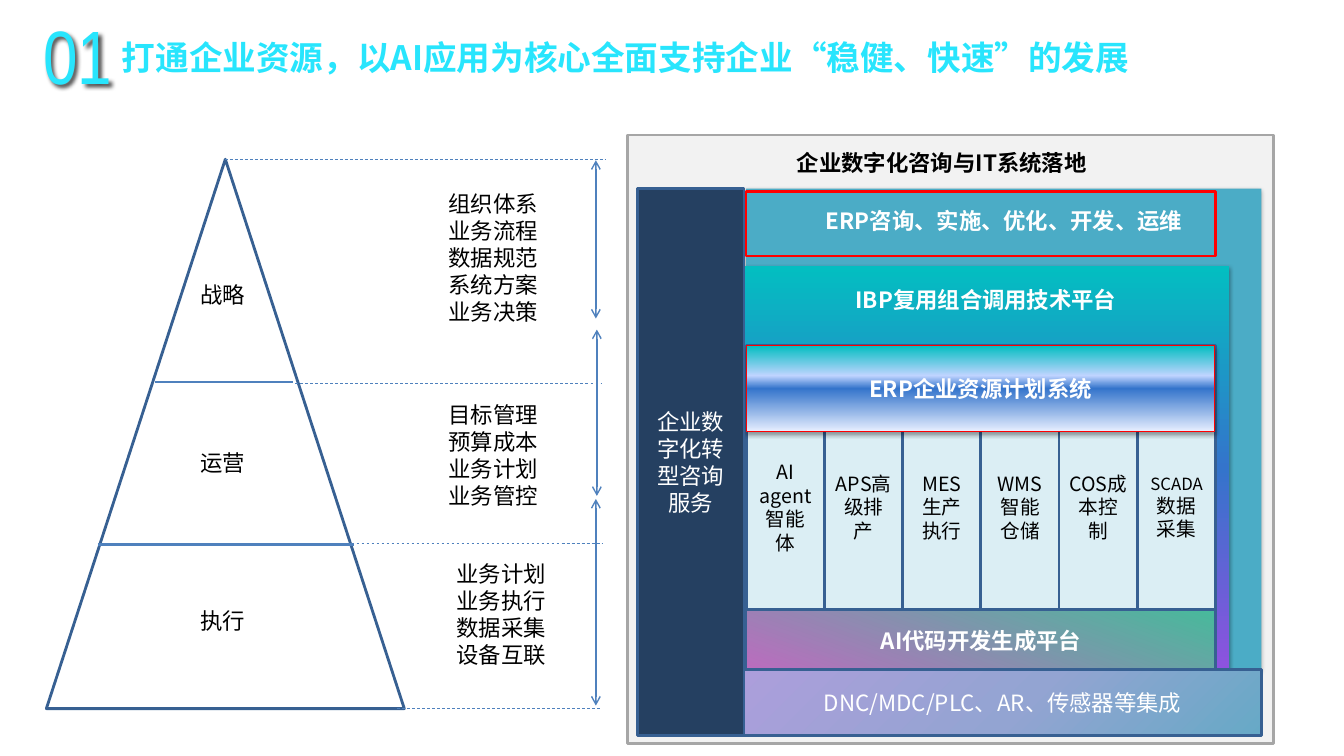
from lxml import etree
from pptx import Presentation
from pptx.dml.color import RGBColor
from pptx.enum.dml import MSO_LINE
from pptx.enum.shapes import MSO_CONNECTOR, MSO_SHAPE
from pptx.enum.text import MSO_ANCHOR, PP_ALIGN
from pptx.oxml.ns import qn
from pptx.util import Emu, Pt

RECTANGLE, TRIANGLE = MSO_SHAPE.RECTANGLE, MSO_SHAPE.ISOSCELES_TRIANGLE
STRAIGHT, DASH = MSO_CONNECTOR.STRAIGHT, MSO_LINE.DASH
LEFT, CENTER = PP_ALIGN.LEFT, PP_ALIGN.CENTER
TOP, MIDDLE = MSO_ANCHOR.TOP, MSO_ANCHOR.MIDDLE

# Content
NUMBER = "01"
TITLE = "打通企业资源，以AI应用为核心全面支持企业“稳健、快速”的发展"
PANEL_TITLE = "企业数字化咨询与IT系统落地"
SIDEBAR = "企业数字化转型咨询服务"
CONSULTING = "ERP咨询、实施、优化、开发、运维"
PLATFORM = "IBP复用组合调用技术平台"
PLANNING = "ERP企业资源计划系统"
CODE_PLATFORM = "AI代码开发生成平台"
INTEGRATION = "DNC/MDC/PLC、AR、传感器等集成"
SYSTEMS = [
    [("AI agent智能体", 14)],
    [("APS高级排产", 14)],
    [("MES生产执行", 14)],
    [("WMS智能仓储", 14)],
    [("COS成本控制", 14)],
    [("SCADA", 12), ("数据采集", 14)],
]
# Level name, its top, then the left, top and lines of its duties
LEVELS = [
    ("战略", 274, 435, 184, ["组织体系", "业务流程", "数据规范", "系统方案", "业务决策"]),
    ("运营", 441, 435, 393, ["目标管理", "预算成本", "业务计划", "业务管控"]),
    ("执行", 597, 443, 551, ["业务计划", "业务执行", "数据采集", "设备互联"]),
]
DIVIDERS = [(154, 291, 379), (97, 351, 540)]
GUIDES = [(223, 601, 158), (293, 596, 380), (394, 595, 703), (314, 598, 539)]
SPANS = [(591, 159, 316), (592, 327, 492), (591, 495, 700)]

# Style
FONT, NUMBER_FONT = "Noto Sans CJK SC", "Arial Narrow"
BLACK, WHITE, RED = "000000", "FFFFFF", "FF0000"
CYAN, BLUE, EDGE = "28E5FD", "4F81BD", "376092"
PLATFORM_FILL = ([(0, "03BEC1"), (50, "3474CB"), (100, "8E52DF")], 90)
PLANNING_FILL = ([(0, "03BEC1"), (35, "BFD4FF"), (50, "3474CB"), (100, "E6EEFF")], 90)
CODE_FILL = ([(0, "47BA9B"), (99, "BA6DBE")], 110)
INTEGRATION_FILL = ([(0, "AC9EDB"), (54, "93A4D2"), (100, "67A9C6")], 45)
SOFT_SHADOW = (3.1, 1.6, 90, 38)
NUMBER_SHADOW = (3, 3, 45, 70)


def px(length):
    return Emu(round(length * 9144))


def rgb(value):
    return RGBColor.from_string(value)


def add_node(parent, tag, **attributes):
    values = {name: str(value) for name, value in attributes.items()}
    return etree.SubElement(parent, qn(tag), values)


def write_text(shape, lines, size=16, color=BLACK, bold=False, align=LEFT,
               anchor=TOP, font=FONT):
    """Lines are strings, or pairs of a string and its own size."""
    frame = shape.text_frame
    frame.word_wrap = True
    frame.vertical_anchor = anchor
    for index, line in enumerate(lines):
        text, points = line if isinstance(line, tuple) else (line, size)
        para = frame.add_paragraph() if index else frame.paragraphs[0]
        para.alignment = align
        span = para.add_run()
        span.text = text
        span.font.size = Pt(points)
        span.font.bold = bold
        span.font.color.rgb = rgb(color)
        span.font.name = font
        add_node(span.font._element, "a:ea", typeface=font)


def add_shadow(shape, blur, distance, angle, opacity):
    effects = shape._element.spPr.find(qn("a:effectLst"))
    outer = add_node(effects, "a:outerShdw", blurRad=int(Pt(blur)), dist=int(Pt(distance)),
                     dir=angle * 60000, algn="t", rotWithShape=0)
    add_node(add_node(outer, "a:srgbClr", val=BLACK), "a:alpha", val=opacity * 1000)


def fill_gradient(shape, stops, angle):
    shape.fill.gradient()
    gradient = shape._element.spPr.find(qn("a:gradFill"))
    for child in list(gradient):
        gradient.remove(child)
    stop_list = add_node(gradient, "a:gsLst")
    for position, color in stops:
        stop = add_node(stop_list, "a:gs", pos=position * 1000)
        add_node(stop, "a:srgbClr", val=color)
    add_node(gradient, "a:lin", ang=angle * 60000, scaled=0)


def add_box(page, place, fill=None, line=None, width=2, shadow=None, kind=RECTANGLE):
    box = page.shapes.add_shape(kind, *map(px, place))
    box.shadow.inherit = False
    if fill is None:
        box.fill.background()
    elif isinstance(fill, tuple):
        fill_gradient(box, *fill)
    else:
        box.fill.solid()
        box.fill.fore_color.rgb = rgb(fill)
    if line:
        box.line.color.rgb = rgb(line)
        box.line.width = Pt(width)
    else:
        box.line.fill.background()
    if shadow:
        add_shadow(box, *shadow)
    return box


def add_label(page, place, lines, **style):
    label = page.shapes.add_textbox(*map(px, place))
    write_text(label, lines, **style)
    return label


def add_line(page, x1, y1, x2, y2, width, dashed=False, arrows=False):
    line = page.shapes.add_connector(STRAIGHT, px(x1), px(y1), px(x2), px(y2))
    line.line.color.rgb = rgb(BLUE)
    line.line.width = Pt(width)
    if dashed:
        line.line.dash_style = DASH
    properties = line._element.spPr
    if arrows:
        for end in ("a:headEnd", "a:tailEnd"):
            add_node(properties.find(qn("a:ln")), end, type="arrow")
    add_node(properties, "a:effectLst")


def draw_systems_panel(page):
    centered = {"align": CENTER, "anchor": MIDDLE}
    heading = {"align": CENTER, "color": WHITE, "bold": True}
    # Backgrounds
    add_box(page, (622, 134, 641, 604), "F2F2F2", "A6A6A6")
    add_label(page, (647, 143, 574, 37), [PANEL_TITLE], bold=True, align=CENTER)
    add_box(page, (740, 187, 511, 478), "4BACC6", shadow=SOFT_SHADOW)
    add_box(page, (739, 264, 480, 401), PLATFORM_FILL, shadow=SOFT_SHADOW)
    # Row of systems
    for index, lines in enumerate(SYSTEMS):
        box = add_box(page, (740 + 77.6 * index, 343, 78, 320), "DBEEF4", EDGE)
        write_text(box, lines, **centered)
    # Bands
    box = add_box(page, (740, 605, 466, 60), CODE_FILL, EDGE)
    write_text(box, [CODE_PLATFORM], anchor=MIDDLE, **heading)
    box = add_box(page, (740, 343, 465, 85), PLANNING_FILL, RED, 0.75, SOFT_SHADOW)
    write_text(box, [PLANNING], anchor=MIDDLE, **heading)
    add_label(page, (774, 201, 444, 37), [CONSULTING], **heading)
    add_label(page, (756, 279, 444, 37), [PLATFORM], **heading)
    box = add_box(page, (632, 187, 106, 543), "254061", EDGE)
    write_text(box, [SIDEBAR], color=WHITE, **centered)
    box = add_box(page, (738, 664, 513, 66), INTEGRATION_FILL, EDGE)
    write_text(box, [INTEGRATION], color=WHITE, **centered)


def draw_pyramid(page):
    add_box(page, (46, 158, 355, 545), line=EDGE, kind=TRIANGLE)
    for start, end, y in DIVIDERS:
        add_line(page, start, y, end, y, 2)
    for name, name_top, left, top, duties in LEVELS:
        add_label(page, (189, name_top, 75, 37), [name])
        add_label(page, (left, top, 136, 10 + 27 * len(duties)), duties)
    for start, end, y in GUIDES:
        add_line(page, start, y, end, y, 0.5, dashed=True)
    for x, start, end in SPANS:
        add_line(page, x, start, x, end, 1, arrows=True)


def main():
    deck = Presentation()
    deck.slide_width, deck.slide_height = px(1333), px(750)
    page = deck.slides.add_slide(deck.slide_layouts[6])
    draw_systems_panel(page)
    draw_pyramid(page)
    # Title and its number
    add_label(page, (111, 32, 1139, 50), [TITLE], size=24, color=CYAN, bold=True)
    number = add_label(page, (33, 4, 108, 101), [NUMBER], size=54, color=CYAN, font=NUMBER_FONT)
    number.shadow.inherit = False
    add_shadow(number, *NUMBER_SHADOW)
    # Highlight around the consulting band
    add_box(page, (740, 190, 466, 64), line=RED)
    deck.save("out.pptx")


if __name__ == "__main__":
    main()
